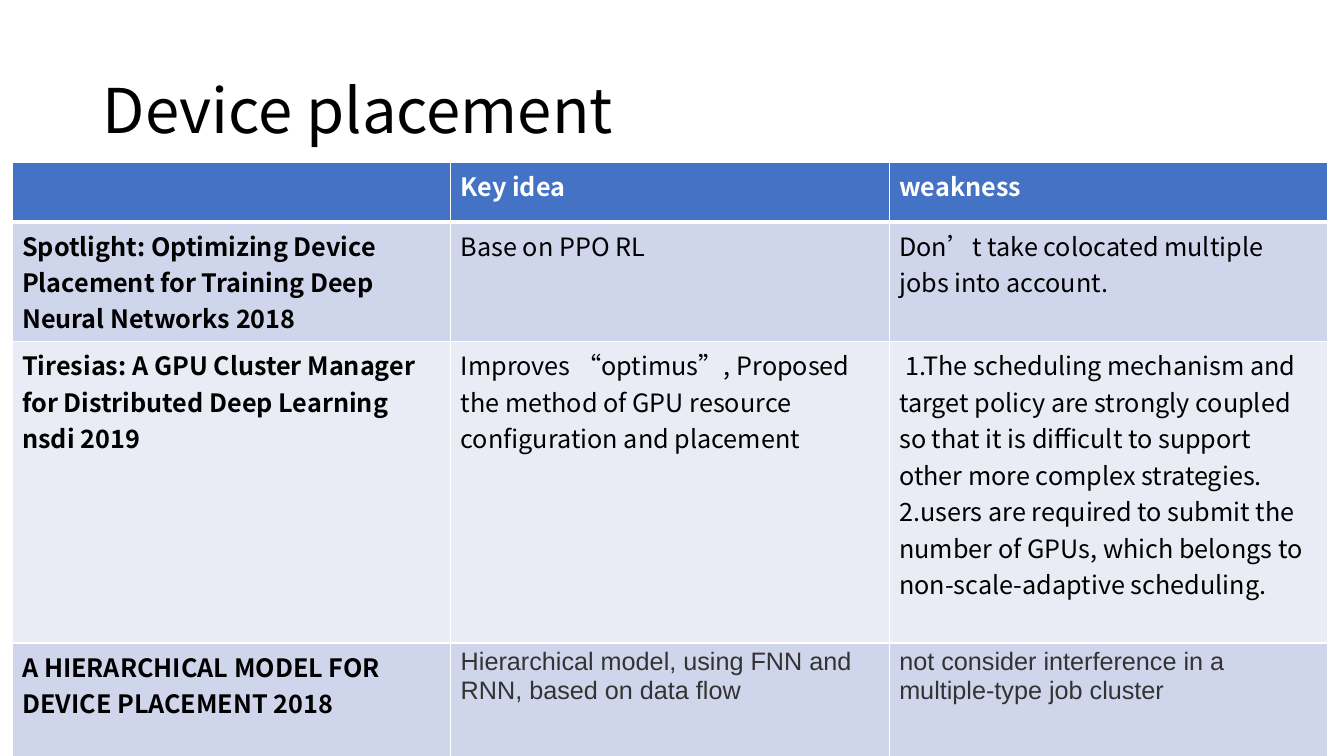
from dataclasses import dataclass

from lxml import etree
from pptx import Presentation
from pptx.dml.color import RGBColor
from pptx.enum.text import MSO_ANCHOR
from pptx.oxml.ns import qn
from pptx.util import Inches, Pt

MIDDLE = MSO_ANCHOR.MIDDLE
SLIDE_W, SLIDE_H = 13.33, 7.5
SANS, ARIAL = "Noto Sans CJK SC", "Arial"
BLACK, WHITE, GREY = "000000", "FFFFFF", "333333"
BLUE, BAND_DARK, BAND_LIGHT = "4472C4", "CFD5EA", "E9EBF5"
TABLE_LEFT, TABLE_TOP, COLUMN_W = 0.12, 1.61, 4.35
NUMBER_INDENT = 0.06
THIN, THICK = 1, 3


@dataclass
class Style:
    color: str
    size: float = 18
    font: str = SANS
    bold: bool = False


@dataclass
class Row:
    height: float
    fill: str
    texts: tuple[str, str, str]
    styles: tuple[Style, Style, Style]
    top: float = THIN
    bottom: float = THIN


HEADER, NAME = Style(WHITE, bold=True), Style(BLACK, bold=True)
BODY, PLAIN = Style(BLACK), Style(GREY, font=ARIAL)

ROWS = [
    Row(0.59, BLUE, ("", "Key idea", "weakness"), (HEADER,) * 3, bottom=THICK),
    Row(1.19, BAND_DARK,
        ("Spotlight: Optimizing Device Placement for Training Deep Neural Networks 2018",
         "Base on PPO RL",
         "Don’t take colocated multiple jobs into account."),
        (NAME, BODY, BODY), top=THICK),
    Row(2.99, BAND_LIGHT,
        ("Tiresias: A GPU Cluster Manager for Distributed Deep Learning nsdi 2019",
         "Improves “optimus”, Proposed the method of GPU resource configuration and placement",
         "1.The scheduling mechanism and target policy are strongly coupled so that it is "
         "difficult to support other more complex strategies.\n"
         "2.users are required to submit the number of GPUs, which belongs to "
         "non-scale-adaptive scheduling."),
        (NAME, BODY, BODY)),
    Row(1.25, BAND_DARK,
        ("A HIERARCHICAL MODEL FOR DEVICE PLACEMENT 2018",
         "Hierarchical model, using FNN and RNN, based on data flow",
         "not consider interference in a multiple-type job cluster"),
        (NAME, PLAIN, PLAIN)),
]


def rgb(color: str) -> RGBColor:
    return RGBColor.from_string(color)


def write(tf, text: str, style: Style) -> None:
    tf.text = text
    for p in tf.paragraphs:
        p.font.size = Pt(style.size)
        p.font.bold = style.bold
        p.font.color.rgb = rgb(style.color)
        p.font.name = style.font
        # East Asian face, which also draws the curly quotes
        latin = p._p.pPr.find(qn("a:defRPr")).find(qn("a:latin"))
        ea = etree.Element(qn("a:ea"), typeface=style.font)
        latin.addnext(ea)


def set_borders(cell, top: float, bottom: float) -> None:
    tc_pr = cell._tc.get_or_add_tcPr()
    sides = {"L": THIN, "R": THIN, "T": top, "B": bottom}
    for i, (side, width) in enumerate(sides.items()):
        ln = etree.Element(qn(f"a:ln{side}"), w=str(Pt(width)))
        fill = etree.SubElement(ln, qn("a:solidFill"))
        etree.SubElement(fill, qn("a:srgbClr"), val=WHITE)
        tc_pr.insert(i, ln)


def add_title(slide) -> None:
    sp = slide.shapes.add_textbox(Inches(0.92), Inches(0.4), Inches(11.5), Inches(1.45))
    tf = sp.text_frame
    tf.word_wrap = True
    tf.vertical_anchor = MIDDLE
    write(tf, "Device placement", Style(BLACK, 44))
    tf.paragraphs[0].line_spacing = 0.9


def add_comparison(slide) -> None:
    columns = len(ROWS[0].texts)
    table = slide.shapes.add_table(
        len(ROWS), columns, Inches(TABLE_LEFT), Inches(TABLE_TOP),
        Inches(columns * COLUMN_W), Inches(sum(row.height for row in ROWS))).table
    for column in table.columns:
        column.width = Inches(COLUMN_W)
    for r, row in enumerate(ROWS):
        table.rows[r].height = Inches(row.height)
        for c, (text, style) in enumerate(zip(row.texts, row.styles)):
            cell = table.cell(r, c)
            write(cell.text_frame, text, style)
            cell.fill.solid()
            cell.fill.fore_color.rgb = rgb(row.fill)
            set_borders(cell, row.top, row.bottom)
    numbered = table.cell(2, 2).text_frame.paragraphs[0]
    numbered._p.get_or_add_pPr().set("indent", str(Inches(NUMBER_INDENT)))


def main() -> None:
    prs = Presentation()
    prs.slide_width, prs.slide_height = Inches(SLIDE_W), Inches(SLIDE_H)
    slide = prs.slides.add_slide(prs.slide_layouts[6])
    add_title(slide)
    add_comparison(slide)
    prs.save("out.pptx")


if __name__ == "__main__":
    main()
